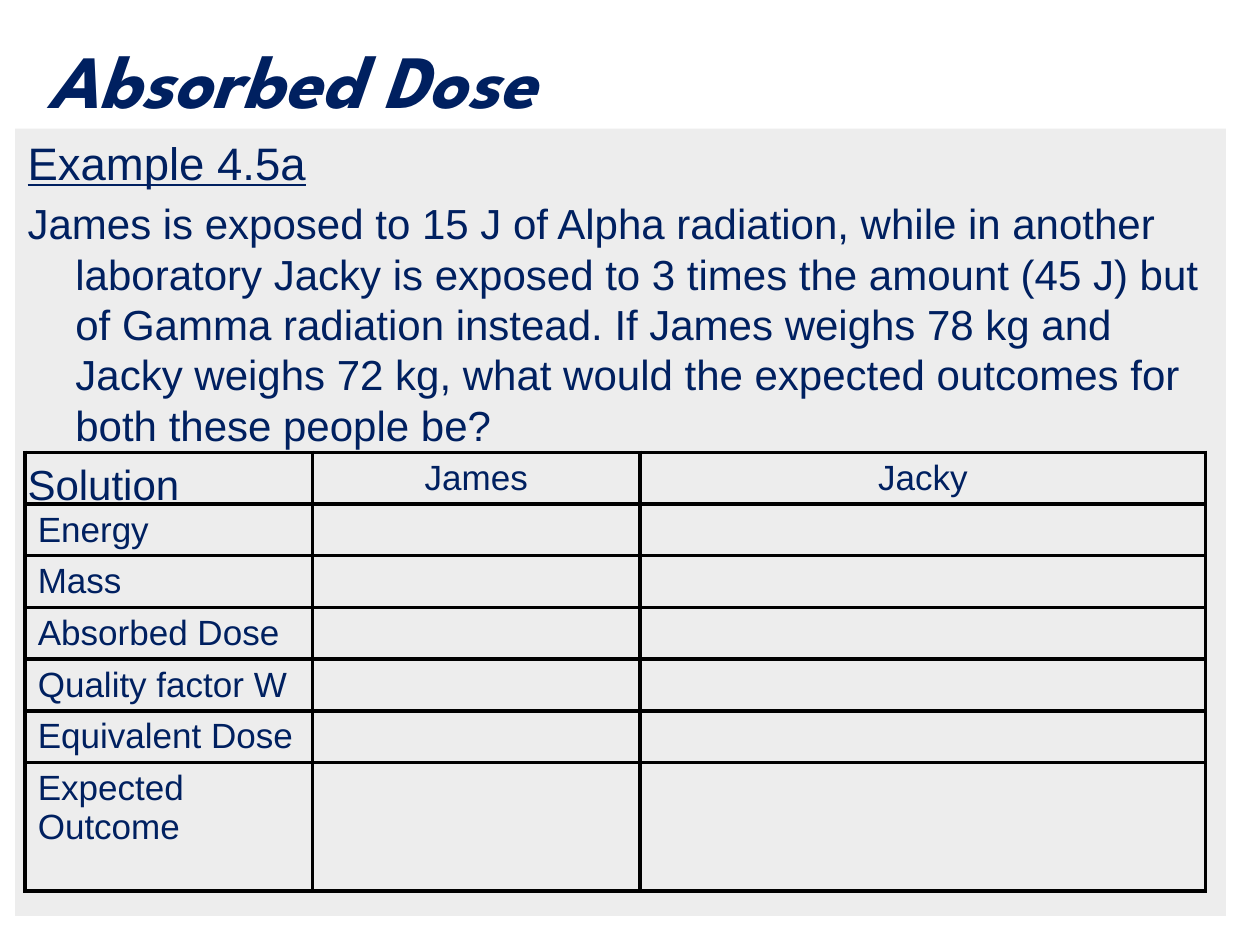
from dataclasses import dataclass
from typing import Any

import lxml.etree
import pptx
import pptx.dml.color
import pptx.enum.shapes
import pptx.enum.text
import pptx.oxml.ns
import pptx.util

Inches, Pt = pptx.util.Inches, pptx.util.Pt
RGB = pptx.dml.color.RGBColor
ALIGN = pptx.enum.text.PP_ALIGN
ANCHOR = pptx.enum.text.MSO_ANCHOR
qn = pptx.oxml.ns.qn


@dataclass(frozen=True)
class Theme:
    ink: str = "002060"
    panel: str = "D9D9D9"
    panel_alpha: int = 47
    border: str = "000000"
    border_pt: float = 2.25
    title_font: str = "League Spartan"
    body_font: str = "Arial"
    title_pt: int = 43
    heading_pt: int = 26
    body_pt: int = 24
    cell_pt: int = 20


@dataclass(frozen=True)
class Paragraph:
    text: str
    size: int
    underline: bool = False
    space_before: float = 4.8


THEME = Theme()

PARAGRAPHS = [
    Paragraph("Example 4.5a", THEME.heading_pt, True, 0),
    Paragraph(
        "James is exposed to 15 J of Alpha radiation, while in another "
        "laboratory Jacky is exposed to 3 times the amount (45 J) but of "
        "Gamma radiation instead. If James weighs 78 kg and Jacky weighs "
        "72 kg, what would the expected outcomes for both these people be?",
        THEME.body_pt),
    Paragraph("Solution", THEME.body_pt, True),
]

PEOPLE = ["James", "Jacky"]
QUANTITIES = ["Energy", "Mass", "Absorbed Dose", "Quality factor W",
              "Equivalent Dose", "Expected Outcome"]
COL_WIDTHS = [2.28, 2.6, 4.49]
ROW_HEIGHT, LAST_ROW_HEIGHT = 0.41, 1.02


def set_all(obj: Any, values: dict[str, Any]) -> None:
    for name, value in values.items():
        setattr(obj, name, value)


def place(sp: Any, left: float, top: float, width: float, height: float) -> None:
    set_all(sp, {"left": Inches(left), "top": Inches(top),
                 "width": Inches(width), "height": Inches(height)})


def style_font(font: Any, size: int, name: str = THEME.body_font, **extra: Any) -> None:
    set_all(font, {"size": Pt(size), "name": name, **extra})
    font.color.rgb = RGB.from_string(THEME.ink)


def add_title(s: Any, text: str) -> None:
    sp = s.shapes.title
    place(sp, 0.28, 0, 9.61, 1.25)
    tf = sp.text_frame
    set_all(tf, {"text": text, "vertical_anchor": ANCHOR.MIDDLE, "word_wrap": True})
    p = tf.paragraphs[0]
    p.alignment = ALIGN.LEFT
    style_font(p.runs[0].font, THEME.title_pt, THEME.title_font, bold=True, italic=True)


def add_panel(s: Any, paragraphs: list[Paragraph]) -> None:
    sp = s.shapes.add_shape(pptx.enum.shapes.MSO_SHAPE.RECTANGLE, 0, 0, 0, 0)
    place(sp, 0.12, 1.02, 9.61, 6.25)
    sp.shadow.inherit = False
    sp.line.fill.background()
    sp.fill.solid()
    sp.fill.fore_color.rgb = RGB.from_string(THEME.panel)
    color = sp.fill._xPr.find(".//" + qn("a:srgbClr"))
    lxml.etree.SubElement(color, qn("a:alpha"), val=str(THEME.panel_alpha * 1000))

    tf = sp.text_frame
    set_all(tf, {"word_wrap": True, "vertical_anchor": ANCHOR.TOP})
    indent = Inches(0.38)
    for i, item in enumerate(paragraphs):
        p = tf.add_paragraph() if i else tf.paragraphs[0]
        set_all(p, {"alignment": ALIGN.LEFT, "line_spacing": 1.0,
                    "space_before": Pt(item.space_before)})
        # Hanging indent
        p._p.get_or_add_pPr().attrib.update(
            {"marL": str(indent), "indent": str(-indent)})
        r = p.add_run()
        r.text = item.text
        style_font(r.font, item.size, underline=item.underline)


def add_borders(cell: Any) -> None:
    tc_pr = cell._tc.get_or_add_tcPr()
    for side in ("a:lnL", "a:lnR", "a:lnT", "a:lnB"):
        ln = lxml.etree.SubElement(tc_pr, qn(side), w=str(Pt(THEME.border_pt)))
        fill = lxml.etree.SubElement(ln, qn("a:solidFill"))
        lxml.etree.SubElement(fill, qn("a:srgbClr"), val=THEME.border)


def add_dose_table(s: Any) -> None:
    rows = [["", *PEOPLE]] + [[name] + [""] * len(PEOPLE) for name in QUANTITIES]
    heights = [ROW_HEIGHT] * (len(rows) - 1) + [LAST_ROW_HEIGHT]
    table = s.shapes.add_table(
        len(rows), len(COL_WIDTHS), Inches(0.2), Inches(3.59),
        Inches(sum(COL_WIDTHS)), Inches(sum(heights))).table
    set_all(table, {"first_row": False, "horz_banding": False})
    for column, width in zip(table.columns, COL_WIDTHS):
        column.width = Inches(width)
    for i, (values, height) in enumerate(zip(rows, heights)):
        table.rows[i].height = Inches(height)
        for j, value in enumerate(values):
            cell = table.cell(i, j)
            add_borders(cell)
            cell.fill.background()
            cell.text = value
            p = cell.text_frame.paragraphs[0]
            p.alignment = ALIGN.LEFT if i else ALIGN.CENTER
            for r in p.runs:
                style_font(r.font, THEME.cell_pt)


def main() -> None:
    prs = pptx.Presentation()
    set_all(prs, {"slide_width": Inches(10), "slide_height": Inches(7.5)})
    s = prs.slides.add_slide(prs.slide_layouts.get_by_name("Title Only"))
    # Title
    add_title(s, "Absorbed Dose")
    # Worked example
    add_panel(s, PARAGRAPHS)
    # Solution table
    add_dose_table(s)
    prs.save("out.pptx")


if __name__ == "__main__":
    main()
